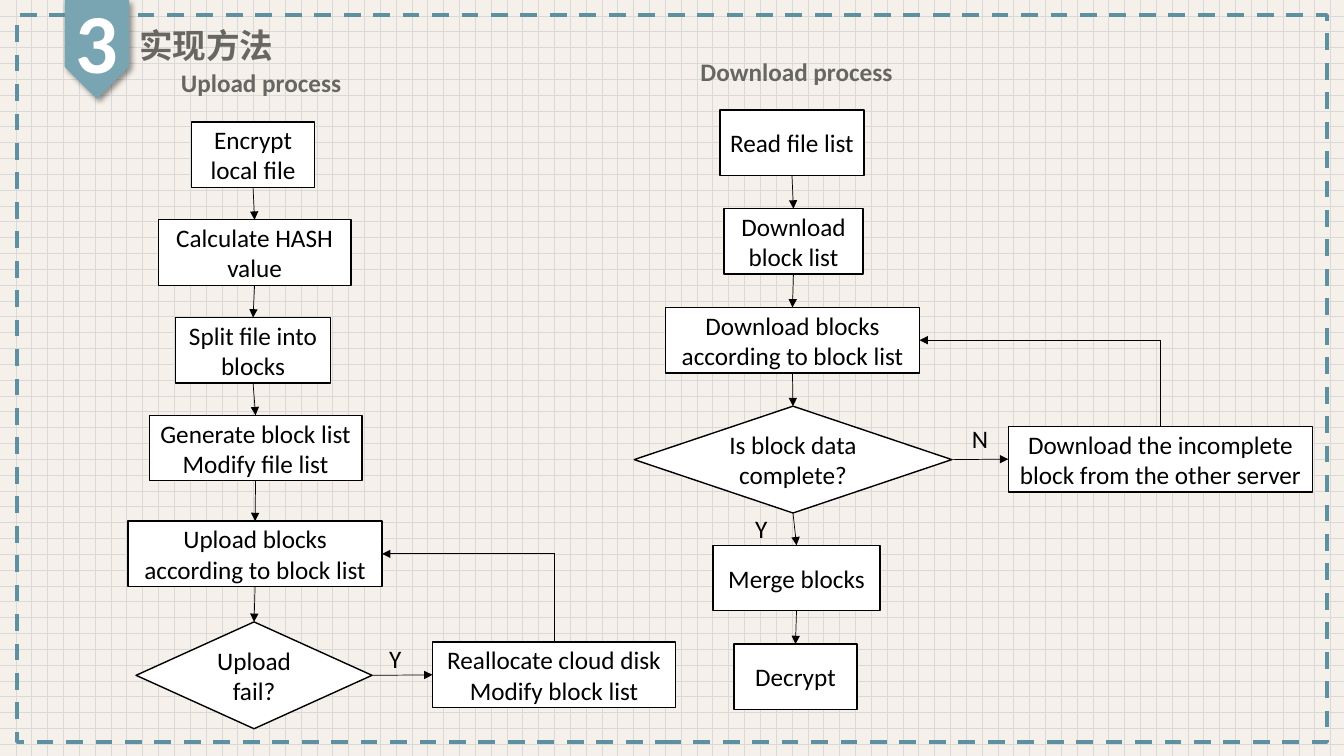
from dataclasses import dataclass
from itertools import pairwise

import pptx
import pptx.dml.color
import pptx.enum.dml
import pptx.enum.shapes
import pptx.enum.text
import pptx.oxml
import pptx.oxml.ns
import pptx.shapes.autoshape
import pptx.shapes.connector
import pptx.slide
import pptx.text.text
import pptx.util

Inches = pptx.util.Inches
Pt = pptx.util.Pt
RGBColor = pptx.dml.color.RGBColor
Shapes = pptx.enum.shapes.MSO_SHAPE
Connectors = pptx.enum.shapes.MSO_CONNECTOR
Align = pptx.enum.text.PP_ALIGN
Anchor = pptx.enum.text.MSO_ANCHOR

BLACK = RGBColor(0x00, 0x00, 0x00)
WHITE = RGBColor(0xFF, 0xFF, 0xFF)
GRAY = RGBColor(0x67, 0x66, 0x61)
TEAL = RGBColor(0x79, 0xA5, 0xB2)
FRAME = RGBColor(0x5D, 0x91, 0xA1)
GRID = RGBColor(0xD9, 0xD9, 0xD9)
PAPER = RGBColor(0xF5, 0xF0, 0xEA)

TOP, LEFT, BOTTOM, RIGHT = range(4)
BODY = {"name": "Calibri", "size": Pt(18), "bold": False}
HEADING = BODY | {"bold": True}
TITLE = {"name": "Noto Sans CJK SC", "size": Pt(24), "bold": True}
NUMBER = HEADING | {"size": Pt(60)}


@dataclass
class Node:
    text: str
    left: float
    top: float
    width: float
    height: float = 0.65
    kind: Shapes = Shapes.RECTANGLE


@dataclass
class Label:
    text: str
    left: float
    top: float
    width: float
    height: float = 0.4


@dataclass
class Flow:
    heading: Label
    steps: list[Node]
    decision: int
    target: int
    retry: Node
    answers: list[Label]


UPLOAD = Flow(
    Label("Upload process", 1.69, 0.62, 1.8),
    [
        Node("Encrypt local file", 1.9, 1.21, 1.22),
        Node("Calculate HASH value", 1.57, 2.18, 1.91),
        Node("Split file into blocks", 1.74, 3.15, 1.54),
        Node("Generate block list\nModify file list", 1.48, 4.12, 2.11),
        Node("Upload blocks according to block list", 1.27, 5.17, 2.52),
        Node("Upload fail?", 1.35, 6.17, 2.34, 1.06, Shapes.FLOWCHART_DECISION),
    ],
    5, 4,
    Node("Reallocate cloud disk\nModify block list", 4.29, 6.37, 2.41),
    [Label("Y", 3.76, 6.33, 0.32)],
)
DOWNLOAD = Flow(
    Label("Download process", 6.84, 0.51, 2.12),
    [
        Node("Read file list", 7.14, 1.09, 1.43),
        Node("Download block list", 7.18, 2.07, 1.38),
        Node("Download blocks according to block list", 6.6, 3.05, 2.52),
        Node("Is block data complete?", 6.29, 4.03, 3.15, 1.06, Shapes.FLOWCHART_DECISION),
        Node("Merge blocks", 7.07, 5.41, 1.66),
        Node("Decrypt", 7.28, 6.39, 1.22),
    ],
    3, 2,
    Node("Download the incomplete block from the other server", 10, 4.23, 3.02),
    [Label("Y", 7.39, 5.04, 0.32), Label("N", 9.54, 4.15, 0.36)],
)


def write(frame: pptx.text.text.TextFrame, text: str, style: dict, color: RGBColor, align: Align) -> None:
    frame.text = text
    for para in frame.paragraphs:
        para.alignment = align
        for span in para.runs:
            for name, value in style.items():
                setattr(span.font, name, value)
            span.font.color.rgb = color


def fit_text(frame: pptx.text.text.TextFrame) -> None:
    frame.word_wrap = False
    frame.auto_size = pptx.enum.text.MSO_AUTO_SIZE.SHAPE_TO_FIT_TEXT
    frame.vertical_anchor = Anchor.TOP


def add_label(page: pptx.slide.Slide, label: Label, style: dict, color: RGBColor, align: Align) -> None:
    box = page.shapes.add_textbox(*map(Inches, (label.left, label.top, label.width, label.height)))
    fit_text(box.text_frame)
    write(box.text_frame, label.text, style, color, align)


def add_node(page: pptx.slide.Slide, node: Node) -> pptx.shapes.autoshape.Shape:
    box = page.shapes.add_shape(node.kind, *map(Inches, (node.left, node.top, node.width, node.height)))
    box.shadow.inherit = False
    box.fill.solid()
    box.fill.fore_color.rgb = WHITE
    box.line.color.rgb = BLACK
    box.line.width = Pt(1)
    frame = box.text_frame
    frame.word_wrap = True
    frame.vertical_anchor = Anchor.MIDDLE
    frame.margin_left = frame.margin_right = Inches(0.05)
    write(frame, node.text, BODY, BLACK, Align.CENTER)
    return box


def add_arrow(page: pptx.slide.Slide, kind: Connectors, start: pptx.shapes.autoshape.Shape, start_side: int,
              end: pptx.shapes.autoshape.Shape, end_side: int) -> pptx.shapes.connector.Connector:
    arrow = page.shapes.add_connector(kind, 0, 0, 0, 0)
    arrow.begin_connect(start, start_side)
    arrow.end_connect(end, end_side)
    arrow.line.color.rgb = BLACK
    arrow.line.width = Pt(0.5)
    properties = arrow.element.spPr
    line = properties.find(pptx.oxml.ns.qn("a:ln"))
    line.append(pptx.oxml.parse_xml(f'<a:tailEnd {pptx.oxml.ns.nsdecls("a")} type="triangle"/>'))
    properties.append(pptx.oxml.parse_xml(f'<a:effectLst {pptx.oxml.ns.nsdecls("a")}/>'))
    return arrow


def add_return_arrow(page: pptx.slide.Slide, retry: pptx.shapes.autoshape.Shape,
                     target: pptx.shapes.autoshape.Shape) -> None:
    arrow = add_arrow(page, Connectors.ELBOW, retry, TOP, target, RIGHT)
    run, rise = arrow.begin_x - arrow.end_x, arrow.begin_y - arrow.end_y
    center_x, center_y = (arrow.begin_x + arrow.end_x) // 2, (arrow.begin_y + arrow.end_y) // 2
    arrow.left, arrow.top = center_x - rise // 2, center_y - run // 2
    arrow.width, arrow.height = rise, run
    properties = arrow.element.spPr
    transform = properties.find(pptx.oxml.ns.qn("a:xfrm"))
    for name, value in {"rot": "16200000", "flipH": "0", "flipV": "1"}.items():
        transform.set(name, value)
    properties.find(pptx.oxml.ns.qn("a:prstGeom")).set("prst", "bentConnector2")


def add_flow(page: pptx.slide.Slide, flow: Flow) -> None:
    add_label(page, flow.heading, HEADING, GRAY, Align.CENTER)
    boxes = [add_node(page, step) for step in flow.steps]
    retry = add_node(page, flow.retry)
    for upper, lower in pairwise(boxes):
        add_arrow(page, Connectors.STRAIGHT, upper, BOTTOM, lower, TOP)
    add_arrow(page, Connectors.STRAIGHT, boxes[flow.decision], RIGHT, retry, LEFT)
    add_return_arrow(page, retry, boxes[flow.target])
    for answer in flow.answers:
        add_label(page, answer, BODY, BLACK, Align.LEFT)


def add_frame(page: pptx.slide.Slide) -> None:
    frame = page.shapes.add_shape(Shapes.RECTANGLE, *map(Inches, (0.17, 0.15, 12.99, 7.21)))
    frame.shadow.inherit = False
    frame.fill.background()
    frame.line.color.rgb = FRAME
    frame.line.width = Pt(3)
    frame.line.dash_style = pptx.enum.dml.MSO_LINE.DASH


def add_title(page: pptx.slide.Slide) -> None:
    title = page.shapes.title
    for name, value in {"left": 1.28, "top": 0.2, "width": 1.55, "height": 0.5}.items():
        setattr(title, name, Inches(value))
    fit_text(title.text_frame)
    write(title.text_frame, "实现方法", TITLE, GRAY, Align.LEFT)
    for span in title.text_frame.paragraphs[0].runs:
        span.font._element.append(pptx.oxml.parse_xml(
            f'<a:ea {pptx.oxml.ns.nsdecls("a")} typeface="{TITLE["name"]}"/>'))


def add_badge(page: pptx.slide.Slide) -> None:
    badge = page.shapes.add_shape(Shapes.PENTAGON, *map(Inches, (0.47, 0.17, 0.98, 0.64)))
    badge.rotation = 90
    badge.fill.solid()
    badge.fill.fore_color.rgb = TEAL
    badge.line.fill.background()
    badge.shadow.inherit = False
    badge.element.spPr.find(pptx.oxml.ns.qn("a:effectLst")).append(pptx.oxml.parse_xml(
        f'<a:outerShdw {pptx.oxml.ns.nsdecls("a")} blurRad="{Pt(4)}" dist="{Pt(3)}" dir="2700000" '
        f'rotWithShape="0"><a:srgbClr val="{BLACK}"><a:alpha val="40000"/></a:srgbClr></a:outerShdw>'))
    add_label(page, Label("3", 0.65, -0.15, 0.63, 1.11), NUMBER, WHITE, Align.LEFT)


def main() -> None:
    deck = pptx.Presentation()
    deck.slide_width, deck.slide_height = Inches(13.33), Inches(7.5)
    page = deck.slides.add_slide(deck.slide_layouts[5])
    fill = page.background.fill
    fill.patterned()
    fill.pattern = pptx.enum.dml.MSO_PATTERN.DOTTED_GRID
    fill.fore_color.rgb, fill.back_color.rgb = GRID, PAPER
    add_frame(page)
    add_title(page)
    add_badge(page)
    for flow in (UPLOAD, DOWNLOAD):
        add_flow(page, flow)
    deck.save("out.pptx")


if __name__ == "__main__":
    main()
